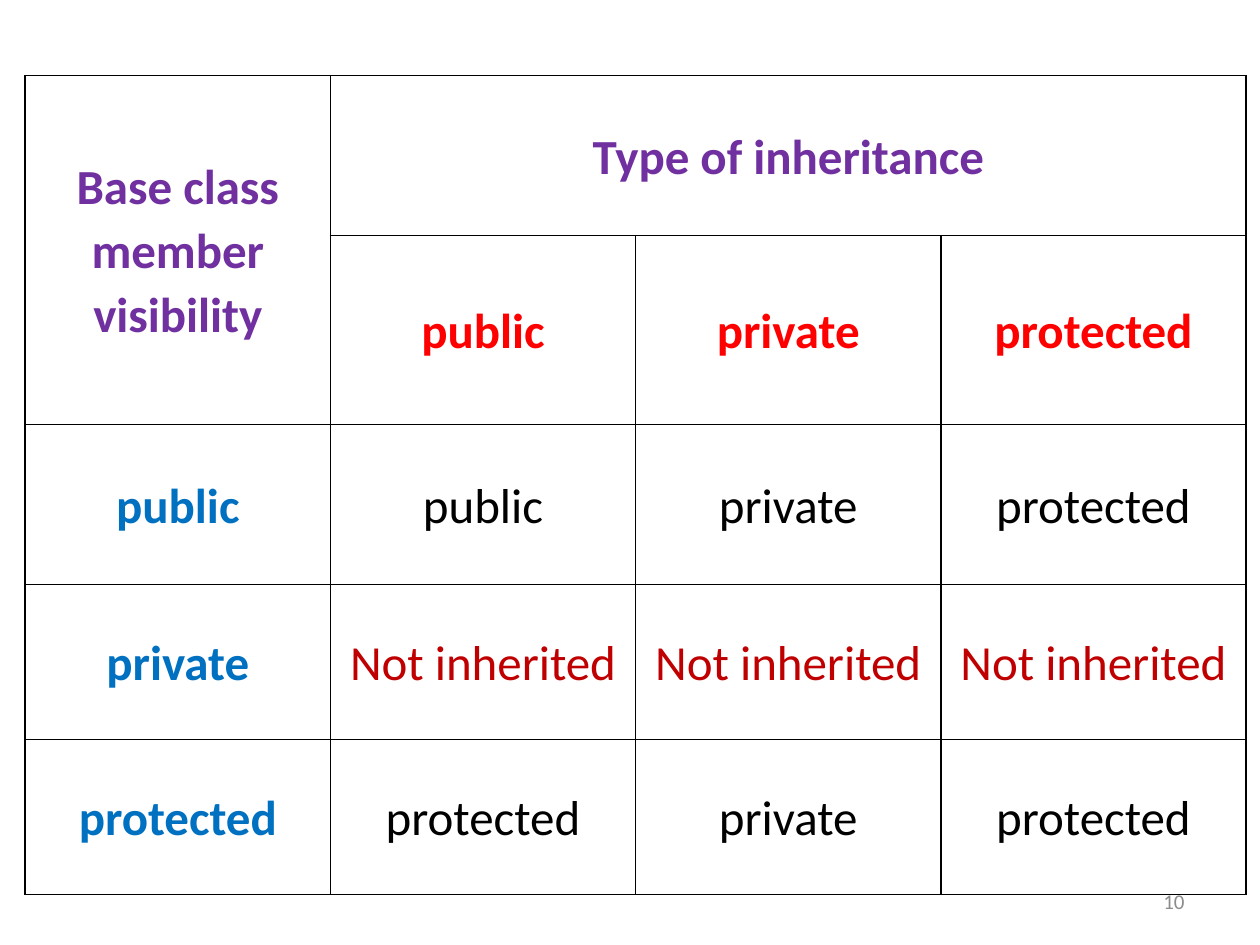
"""Build a slide with a table of C++ member visibility under inheritance."""
from lxml.etree import SubElement
from pptx import Presentation
from pptx.dml.color import RGBColor
from pptx.enum.text import MSO_ANCHOR as ANCHOR, PP_ALIGN as ALIGN
from pptx.oxml.ns import qn
from pptx.util import Inches, Pt


def style(p, size, color, align, bold=False):
    """Set the alignment and font of a paragraph."""
    p.alignment = align
    p.font.name, p.font.size, p.font.bold = "Calibri", Pt(size), bold
    p.font.color.rgb = RGBColor.from_string(color)


def add_borders(cell, color="000000", width=1):
    """Draw a solid line on the four sides of a cell."""
    tcPr = cell._tc.get_or_add_tcPr()
    for i, side in enumerate(("lnL", "lnR", "lnT", "lnB")):
        ln = tcPr.makeelement(qn(f"a:{side}"), {"w": str(Pt(width))})
        fill = SubElement(ln, qn("a:solidFill"))
        SubElement(fill, qn("a:srgbClr"), val=color)
        tcPr.insert(i, ln)


PURPLE, RED, BLUE, DARK_RED, BLACK = "7030A0", "FF0000", "0070C0", "C00000", "000000"
ROWS = [
    ["Base class member visibility", "Type of inheritance", "", ""],
    ["", "public", "private", "protected"],
    ["public", "public", "private", "protected"],
    ["private"] + ["Not inherited"] * 3,
    ["protected", "protected", "private", "protected"],
]
HEIGHTS = [1.27, 1.23, 1.27, 1.23, 1.23]

prs = Presentation()
prs.slide_width, prs.slide_height = Inches(10), Inches(7.5)
s = prs.slides.add_slide(prs.slide_layouts[6])

tb = s.shapes.add_textbox(Inches(7.17), Inches(6.95), Inches(2.33), Inches(0.4))
tf = tb.text_frame
tf.word_wrap = True
tf.vertical_anchor = ANCHOR.MIDDLE
tf.text = "10"
style(tf.paragraphs[0], 12, "8C8C8C", ALIGN.RIGHT)

table = s.shapes.add_table(len(ROWS), 4, Inches(0.2), Inches(0.6),
                           Inches(9.69), Inches(sum(HEIGHTS))).table
table.first_row = table.horz_banding = False
for row, height in zip(table.rows, HEIGHTS):
    row.height = Inches(height)
table.cell(0, 0).merge(table.cell(1, 0))
table.cell(0, 1).merge(table.cell(0, 3))

for r, texts in enumerate(ROWS):
    for c, text in enumerate(texts):
        cell = table.cell(r, c)
        cell.fill.background()
        add_borders(cell)
        cell.vertical_anchor = ANCHOR.MIDDLE
        cell.margin_left = cell.margin_right = Inches(0.07)
        cell.margin_top = cell.margin_bottom = 0
        if cell.is_spanned:
            continue
        cell.text = text
        p = cell.text_frame.paragraphs[0]
        p.line_spacing = 1.07
        if r == 0:
            color = PURPLE
        elif r == 1:
            color = RED
        elif c == 0:
            color = BLUE
        else:
            color = DARK_RED if text == "Not inherited" else BLACK
        style(p, 28, color, ALIGN.CENTER, bold=r < 2 or c == 0)

prs.save("out.pptx")
